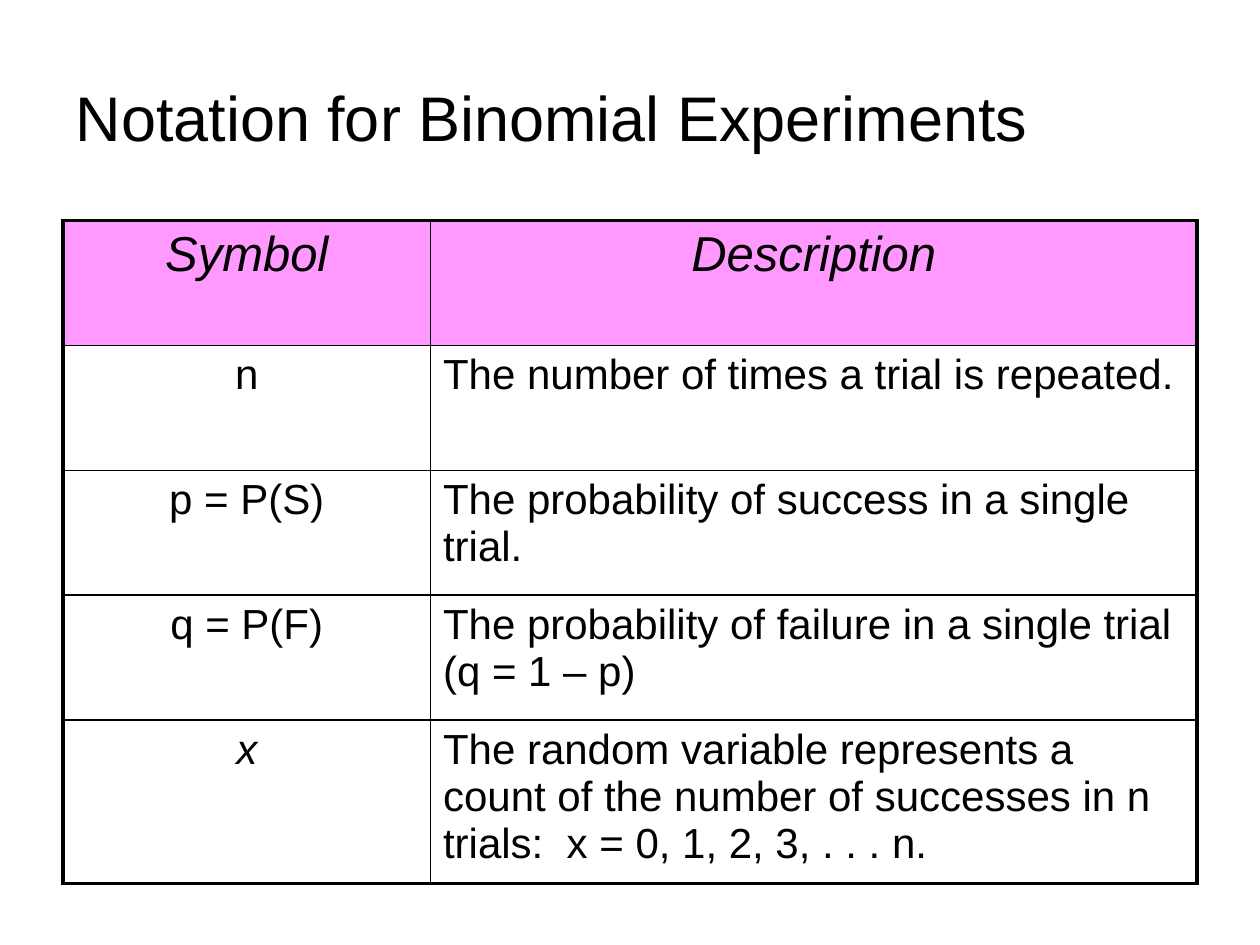
from lxml.etree import SubElement
from pptx import Presentation
from pptx.dml.color import RGBColor
from pptx.enum.text import MSO_ANCHOR, PP_ALIGN
from pptx.oxml.ns import qn
from pptx.util import Pt

TITLE = "Notation for Binomial Experiments"
ROWS = [
    ("Symbol", "Description"),
    ("n", "The number of times a trial is repeated."),
    ("p = P(S)", "The probability of success in a single trial."),
    ("q = P(F)", "The probability of failure in a single trial (q = 1 – p)"),
    ("x", "The random variable represents a count of the number of successes "
          "in n trials:  x = 0, 1, 2, 3, . . . n."),
]
ITALIC_TEXTS = {"Symbol", "Description", "x"}
COLUMN_WIDTHS = [210, 438]
ROW_HEIGHTS = [71.4, 71.4, 71.4, 71.4, 93.4]
COLORS = {"text": "000000", "border": "000000", "header": "FF99FF"}
FONT = "Arial"
OUTER_WIDTH, INNER_WIDTH = 2.25, 1
LEFT = 36


def format_text(text_frame, size, alignment, italic=False):
    for paragraph in text_frame.paragraphs:
        paragraph.alignment = alignment
        for run in paragraph.runs:
            run.font.name = FONT
            run.font.size = Pt(size)
            run.font.italic = italic
            run.font.color.rgb = RGBColor.from_string(COLORS["text"])


def add_borders(cell, outer_sides):
    properties = cell._tc.get_or_add_tcPr()
    for index, (side, outer) in enumerate(outer_sides.items()):
        width = Pt(OUTER_WIDTH if outer else INNER_WIDTH)
        line = SubElement(properties, qn(f"a:ln{side}"), w=str(int(width)))
        fill = SubElement(line, qn("a:solidFill"))
        SubElement(fill, qn("a:srgbClr"), val=COLORS["border"])
        properties.insert(index, line)


def add_title(slide):
    title = slide.shapes.title
    title.left, title.top = Pt(LEFT), Pt(21.6)
    title.width, title.height = Pt(648), Pt(90)
    title.text_frame.text = TITLE
    title.text_frame.vertical_anchor = MSO_ANCHOR.MIDDLE
    format_text(title.text_frame, 36, PP_ALIGN.LEFT)


def add_notation_table(slide):
    table = slide.shapes.add_table(
        len(ROWS), len(COLUMN_WIDTHS), Pt(LEFT), Pt(126),
        Pt(sum(COLUMN_WIDTHS)), Pt(sum(ROW_HEIGHTS))).table
    table.first_row = table.horz_banding = False
    for column, width in zip(table.columns, COLUMN_WIDTHS):
        column.width = Pt(width)
    for row, height in zip(table.rows, ROW_HEIGHTS):
        row.height = Pt(height)

    for row_index, texts in enumerate(ROWS):
        header = row_index == 0
        for column_index, text in enumerate(texts):
            cell = table.cell(row_index, column_index)
            cell.text_frame.text = text
            centered = header or column_index == 0
            format_text(cell.text_frame, 28 if header else 24,
                        PP_ALIGN.CENTER if centered else PP_ALIGN.LEFT,
                        text in ITALIC_TEXTS)
            if header:
                cell.fill.solid()
                cell.fill.fore_color.rgb = RGBColor.from_string(COLORS["header"])
            else:
                cell.fill.background()
            add_borders(cell, {
                "L": column_index == 0,
                "R": column_index == len(texts) - 1,
                "T": header,
                "B": row_index == len(ROWS) - 1,
            })


def main():
    presentation = Presentation()
    presentation.slide_width, presentation.slide_height = Pt(720), Pt(540)
    slide = presentation.slides.add_slide(presentation.slide_layouts[5])
    add_title(slide)
    add_notation_table(slide)
    presentation.save("out.pptx")


if __name__ == "__main__":
    main()
